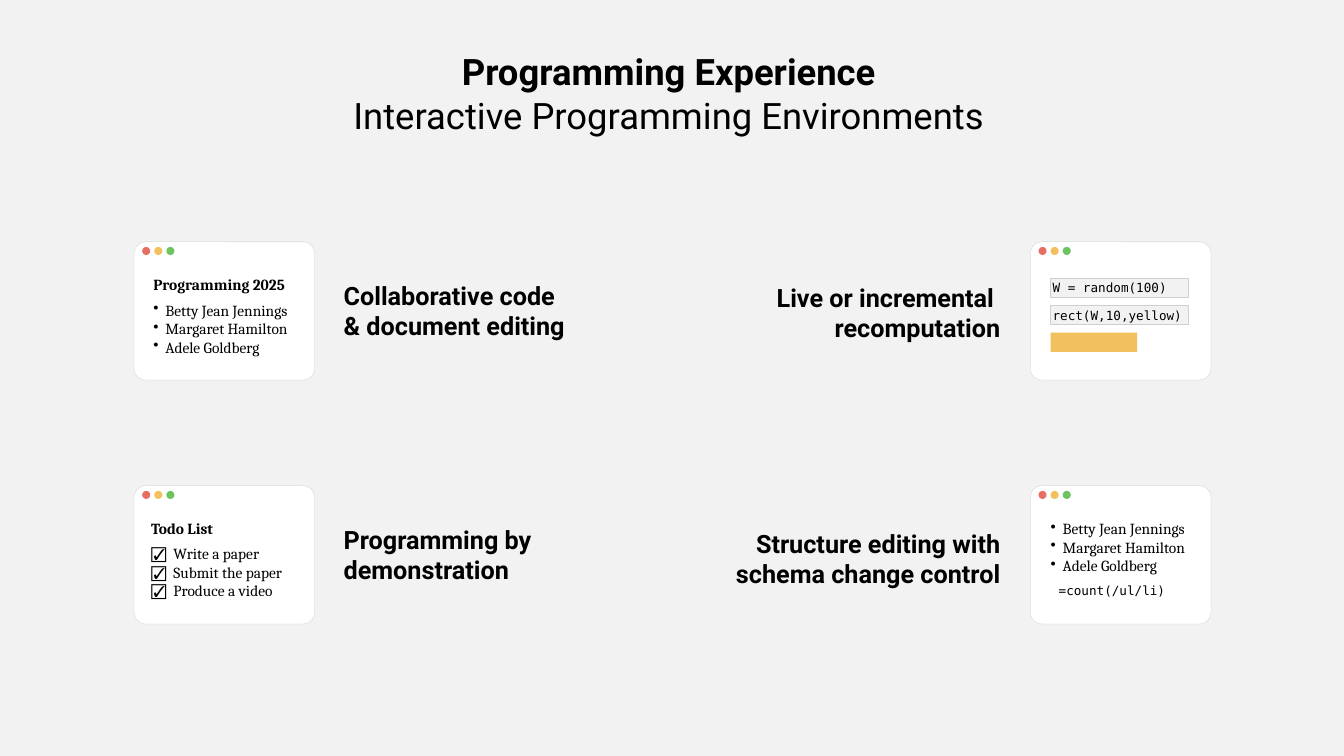
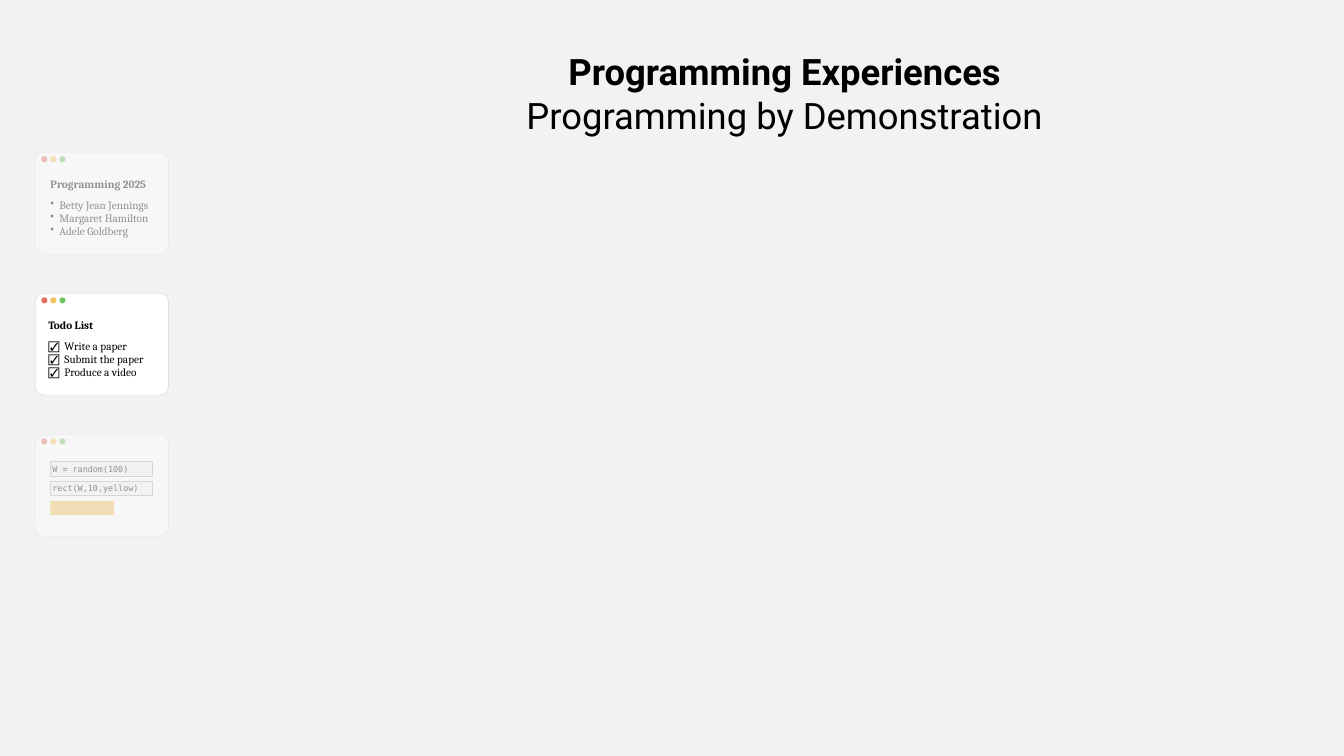
from lxml.etree import SubElement
from pptx import Presentation
from pptx.dml.color import RGBColor
from pptx.enum.shapes import MSO_SHAPE
from pptx.enum.text import MSO_ANCHOR, MSO_AUTO_SIZE, PP_ALIGN
from pptx.oxml.ns import qn
from pptx.util import Pt

PX = 9144
PAPER, WHITE, BLACK = "F2F2F2", "FFFFFF", "000000"
RED, YELLOW, GREEN = "E66F63", "F2C05C", "6DC35D"
EDGE, CELL_EDGE = "D0CECE", "AFABAB"
HEADING_FONT, PROSE_FONT, CODE_FONT = "Roboto", "Cambria", "DejaVu Sans Mono"
SMALL = 0.737


def add_block(shapes, kind, box, fill, edge=None, edge_width=0.2):
    block = shapes.add_shape(kind, *(round(length) * PX for length in box))
    block.shadow.inherit = False
    block.fill.solid()
    block.fill.fore_color.rgb = RGBColor.from_string(fill)
    if edge:
        block.line.color.rgb = RGBColor.from_string(edge)
        block.line.width = Pt(edge_width)
    else:
        block.line.fill.background()
    return block


def add_words(paragraph, words, size, font, bold=False):
    run = paragraph.add_run()
    run.text = words
    run.font.size = Pt(size)
    run.font.name = font
    run.font.bold = bold
    run.font.color.rgb = RGBColor.from_string(BLACK)


deck = Presentation()
deck.slide_width, deck.slide_height = 1333 * PX, 750 * PX
deck.slide_master.background.fill.solid()
deck.slide_master.background.fill.fore_color.rgb = RGBColor.from_string(PAPER)

headings = [
    ("Programming Experience", "Interactive Programming Environments", 311, 705),
    ("Programming Experiences", "Programming by Demonstration", 322, 913),
]
slides = []
for topic, subtopic, left, width in headings:
    slide = deck.slides.add_slide(deck.slide_layouts[5])
    slides.append(slide)
    title = slide.shapes.title
    title.left, title.top, title.width, title.height = (
        left * PX, 44 * PX, width * PX, 98 * PX)
    frame = title.text_frame
    frame.auto_size = MSO_AUTO_SIZE.NONE
    frame.vertical_anchor = MSO_ANCHOR.TOP
    paragraph = frame.paragraphs[0]
    paragraph.alignment = PP_ALIGN.CENTER
    add_words(paragraph, topic, 26, HEADING_FONT, True)
    paragraph.add_line_break()
    add_words(paragraph, subtopic, 26, HEADING_FONT)
overview, demonstration = slides

pioneers = [("bullet", "Betty Jean Jennings"), ("bullet", "Margaret Hamilton"),
            ("bullet", "Adele Goldberg")]
document = [("heading", "Programming 2025")] + pioneers
todo = [("heading", "Todo List"), ("task", "☑\tWrite a paper"),
        ("task", "☑\tSubmit the paper"), ("task", "☑\tProduce a video")]
counted = pioneers + [("formula", "=count(/ul/li)")]
code = [("cell", "W = random(100)"), ("cell", "rect(W,10,yellow)"), ("bar", "")]

windows = [
    (overview, 1022, 240, 1, 20, code),
    (overview, 133, 240, 1, 17, document),
    (overview, 133, 482, 1, 15, todo),
    (overview, 1022, 482, 1, 18, counted),
    (demonstration, 35, 431, SMALL, 20, code),
    (demonstration, 35, 151, SMALL, 17, document),
    (demonstration, 35, 291, SMALL, 15, todo),
]
for slide, left, top, ratio, inset, content in windows:
    shapes = slide.shapes.add_group_shape().shapes
    pane = add_block(shapes, MSO_SHAPE.ROUNDED_RECTANGLE,
                     (left, top, 179 * ratio, 137 * ratio), WHITE, EDGE)
    pane.adjustments[0] = 0.083
    for index, colour in enumerate((RED, YELLOW, GREEN)):
        add_block(shapes, MSO_SHAPE.OVAL,
                  (left + (8 + 12 * index) * ratio, top + 5 * ratio, 8 * ratio, 8 * ratio),
                  colour)
    prose_size, code_size = int(11 * ratio), int(9 * ratio)
    content_left = left + inset * ratio

    if content is code:
        for row, (role, words) in enumerate(code):
            row_top = top + (36 + 27 * row) * ratio
            if role == "bar":
                add_block(shapes, MSO_SHAPE.RECTANGLE,
                          (content_left, row_top, 86 * ratio, 19 * ratio), YELLOW)
                continue
            edge, edge_width = (EDGE, 0.75) if ratio == 1 else (CELL_EDGE, 0.2)
            cell = add_block(shapes, MSO_SHAPE.RECTANGLE,
                             (content_left, row_top, 137 * ratio, 19 * ratio),
                             PAPER, edge, edge_width)
            frame = cell.text_frame
            frame.margin_left = frame.margin_right = 2 * PX
            frame.margin_top = frame.margin_bottom = 2 * PX
            frame.word_wrap = True
            frame.vertical_anchor = MSO_ANCHOR.MIDDLE
            frame.paragraphs[0].alignment = PP_ALIGN.LEFT
            add_words(frame.paragraphs[0], words, code_size, CODE_FONT)
        continue

    frame = shapes.add_textbox(
        round(content_left) * PX, round(top + 31 * ratio) * PX,
        round(145 * ratio) * PX, round(88 * ratio) * PX).text_frame
    frame.margin_left = frame.margin_right = 2 * PX
    frame.margin_top = frame.margin_bottom = 2 * PX
    frame.word_wrap = True
    for row, (role, words) in enumerate(content):
        paragraph = frame.add_paragraph() if row else frame.paragraphs[0]
        properties = paragraph._p.get_or_add_pPr()
        if role == "bullet":
            indent = round(12 * ratio) * PX
            properties.set("marL", str(indent))
            properties.set("indent", str(-indent))
            SubElement(properties, qn("a:buChar"), char="•")
        elif role == "task":
            stops = SubElement(properties, qn("a:tabLst"))
            SubElement(stops, qn("a:tab"), pos=str(round(22 * ratio) * PX), algn="l")
        elif role == "formula":
            properties.set("marL", str(8 * PX))
            paragraph.space_before = Pt(6)
        else:
            paragraph.space_after = Pt(5)
        if role == "formula":
            add_words(paragraph, words, code_size, CODE_FONT)
        else:
            add_words(paragraph, words, prose_size, PROSE_FONT, role == "heading")

captions = [
    (331, 273, 305, PP_ALIGN.LEFT, ("Collaborative code", "& document editing")),
    (331, 515, 305, PP_ALIGN.LEFT, ("Programming by", "demonstration")),
    (668, 275, 334, PP_ALIGN.RIGHT, ("Live or incremental ", "recomputation")),
    (697, 519, 305, PP_ALIGN.RIGHT, ("Structure editing with schema change control",)),
]
for left, top, width, alignment, lines in captions:
    frame = overview.shapes.add_textbox(left * PX, top * PX, width * PX, 71 * PX).text_frame
    frame.word_wrap = True
    paragraph = frame.paragraphs[0]
    paragraph.alignment = alignment
    for index, line in enumerate(lines):
        if index:
            paragraph.add_line_break()
        add_words(paragraph, line, 18, HEADING_FONT, True)

for left, top in ((19, 404), (16, 132)):
    veil = add_block(demonstration.shapes, MSO_SHAPE.RECTANGLE, (left, top, 164, 138), PAPER)
    tint = veil._element.spPr.find(qn("a:solidFill")).find(qn("a:srgbClr"))
    SubElement(tint, qn("a:alpha"), val="60000")

deck.save("out.pptx")
